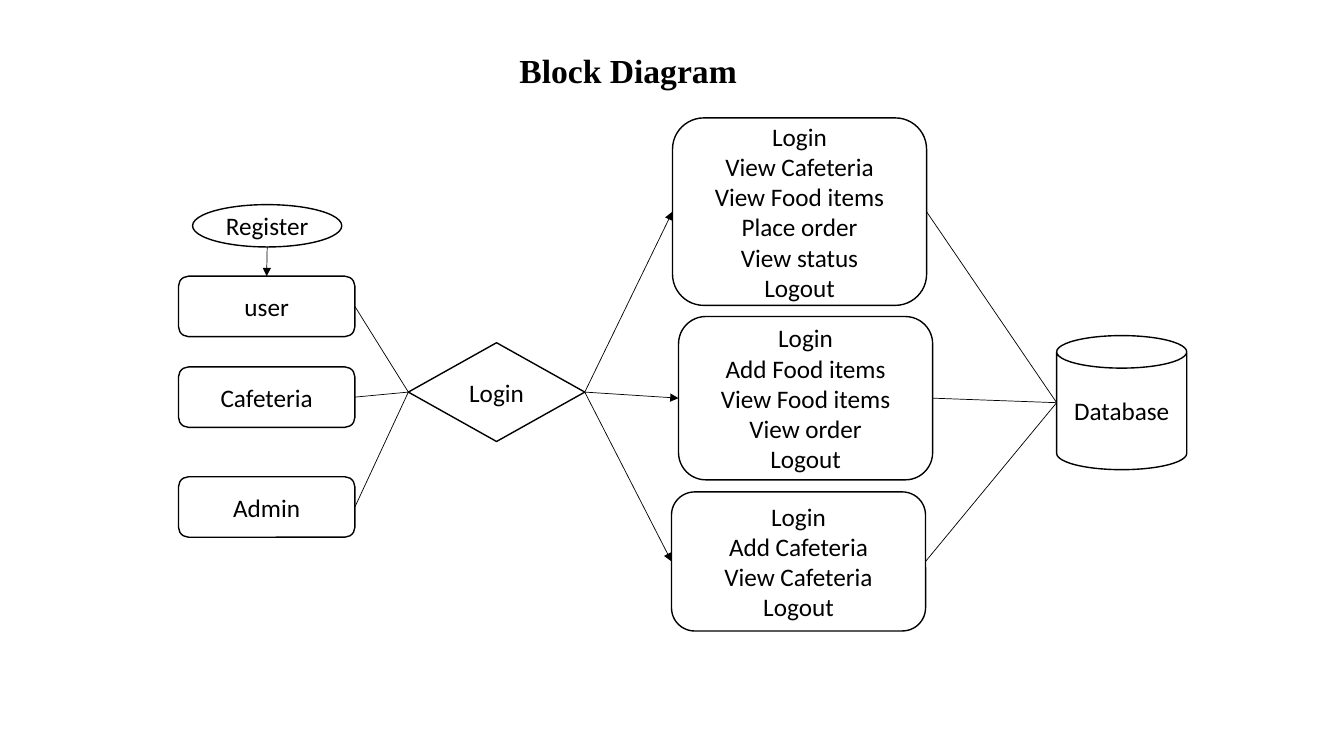
from pptx import Presentation
from pptx.dml.color import RGBColor
from pptx.enum.shapes import MSO_CONNECTOR, MSO_SHAPE as Shape
from pptx.enum.text import MSO_ANCHOR, PP_ALIGN
from pptx.oxml.ns import qn
from pptx.util import Inches, Pt
from lxml import etree

# Content: name -> (preset, left, top, width, height, lines)
TITLE = "Block Diagram"
ROLE_X, ROLE_W, ROLE_H = 1.77, 1.75, 0.6
TASK_W = 2.52
NODES = {
    "register": (Shape.OVAL, 1.91, 2.03, 1.48, 0.42, ["Register"]),
    "login": (Shape.DIAMOND, 4.05, 3.4, 1.75, 0.98, ["Login"]),
    "database": (Shape.CAN, 10.48, 3.33, 1.29, 1.33, ["Database"]),
}
ROLES = [("user", 2.74), ("Cafeteria", 3.64), ("Admin", 4.73)]
TASKS = {
    "user tasks": (6.67, 1.17, 1.86, ["Login", "View Cafeteria", "View Food items",
                                     "Place order", "View status", "Logout"]),
    "cafeteria tasks": (6.73, 3.14, 1.62, ["Login", "Add Food items", "View Food items",
                                          "View order", "Logout"]),
    "admin tasks": (6.66, 4.88, 1.38, ["Login", "Add Cafeteria", "View Cafeteria",
                                      "Logout"]),
}
for role, top in ROLES:
    NODES[role] = (Shape.ROUNDED_RECTANGLE, ROLE_X, top, ROLE_W, ROLE_H, [role])
for task, (left, top, height, lines) in TASKS.items():
    NODES[task] = (Shape.ROUNDED_RECTANGLE, left, top, TASK_W, height, lines)

# Links: (from, to, has arrowhead)
LINKS = [(role, "login", False) for role, _ in ROLES]
LINKS += [("login", task, True) for task in TASKS]
LINKS += [(task, "database", False) for task in TASKS]

# Connection sites shared by rectangles and diamonds
TOP, LEFT, BOTTOM, RIGHT = range(4)
FOUR_SITES = (Shape.ROUNDED_RECTANGLE, Shape.DIAMOND)


def color(value):
    return RGBColor.from_string(value)


def write(frame, lines, font_name, size, bold=False):
    frame.word_wrap = True
    frame.vertical_anchor = MSO_ANCHOR.MIDDLE
    frame.margin_top = frame.margin_bottom = 0
    for index, line in enumerate(lines):
        para = frame.add_paragraph() if index else frame.paragraphs[0]
        para.text = line
        para.alignment = PP_ALIGN.CENTER
        para.font.name = font_name
        para.font.size = Pt(size)
        para.font.bold = bold
        para.font.color.rgb = color("000000")


def add_node(preset, left, top, width, height, lines):
    box = page.shapes.add_shape(preset, Inches(left), Inches(top),
                                Inches(width), Inches(height))
    box.shadow.inherit = False
    box.fill.solid()
    box.fill.fore_color.rgb = color("FFFFFF")
    box.line.color.rgb = color("000000")
    box.line.width = Pt(1)
    write(box.text_frame, lines, "Calibri", 18)
    return box


def side_point(box, side):
    middle_x, middle_y = box.left + box.width // 2, box.top + box.height // 2
    return {TOP: (middle_x, box.top), LEFT: (box.left, middle_y),
            BOTTOM: (middle_x, box.top + box.height),
            RIGHT: (box.left + box.width, middle_y)}[side]


def add_link(start, end, arrow, start_side=RIGHT, end_side=LEFT):
    line = page.shapes.add_connector(MSO_CONNECTOR.STRAIGHT,
                                     *side_point(boxes[start], start_side),
                                     *side_point(boxes[end], end_side))
    if NODES[start][0] in FOUR_SITES:
        line.begin_connect(boxes[start], start_side)
    if NODES[end][0] in FOUR_SITES:
        line.end_connect(boxes[end], end_side)
    line.line.color.rgb = color("000000")
    line.line.width = Pt(0.5)
    if arrow:
        etree.SubElement(line.line._get_or_add_ln(), qn("a:tailEnd"), type="triangle")
    etree.SubElement(line._element.spPr, qn("a:effectLst"))


deck = Presentation()
deck.slide_width, deck.slide_height = Inches(13.33), Inches(7.5)
page = deck.slides.add_slide(deck.slide_layouts[6])

# Title
title = page.shapes.add_textbox(Inches(4.23), Inches(0.45), Inches(4), Inches(0.5))
write(title.text_frame, [TITLE], "Times New Roman", 24, bold=True)

# Nodes, then the lines between them
boxes = {name: add_node(*node) for name, node in NODES.items()}
add_link("register", "user", True, BOTTOM, TOP)
for link in LINKS:
    add_link(*link)

deck.save("out.pptx")
